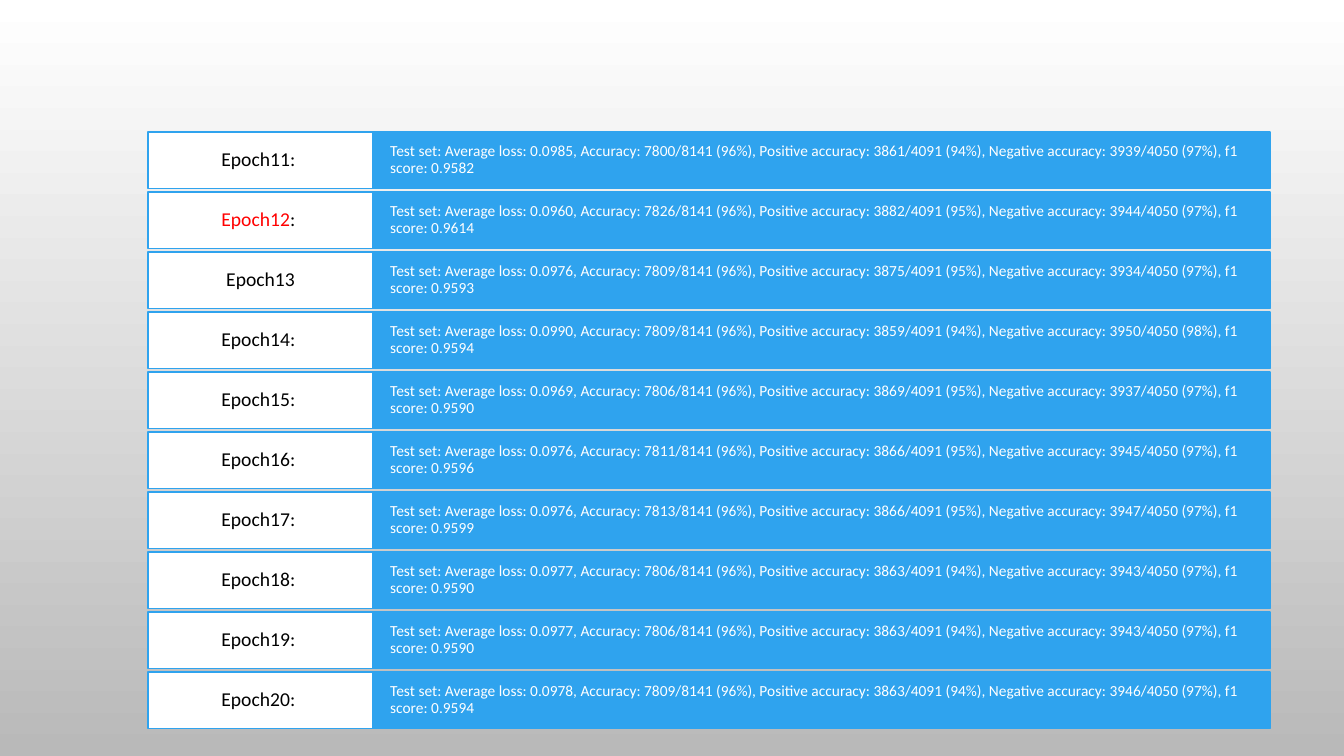
from dataclasses import dataclass

from pptx import Presentation
from pptx import util as u
from pptx.dml.color import RGBColor
from pptx.enum import shapes, text


@dataclass(frozen=True)
class Theme:
    font: str = "Calibri"
    blue: RGBColor = RGBColor(0x2F, 0xA3, 0xEE)
    white: RGBColor = RGBColor(0xFF, 0xFF, 0xFF)
    black: RGBColor = RGBColor(0, 0, 0)
    red: RGBColor = RGBColor(0xFF, 0, 0)
    grey: RGBColor = RGBColor(0xB9, 0xB9, 0xB9)
    label_size: u.Pt = u.Pt(14)
    result_size: u.Pt = u.Pt(11)
    border: u.Pt = u.Pt(1.25)


THEME = Theme()

# Row geometry in inches
TOP, PITCH, HEIGHT = 1.31, 0.5953, 0.56
LABEL_LEFT, LABEL_WIDTH = 1.47, 2.23
RESULT_LEFT, RESULT_WIDTH = LABEL_LEFT + LABEL_WIDTH, 8.9

# Size of the test set
POSITIVES, NEGATIVES = 4091, 4050

BEST_EPOCH = "Epoch12"

# Label, average loss, correct positives, correct negatives, f1 score
EPOCHS = [
    ("Epoch11: ", "0.0985", 3861, 3939, "0.9582"),
    ("Epoch12: ", "0.0960", 3882, 3944, "0.9614"),
    ("Epoch13", "0.0976", 3875, 3934, "0.9593"),
    ("Epoch14: ", "0.0990", 3859, 3950, "0.9594"),
    ("Epoch15: ", "0.0969", 3869, 3937, "0.9590"),
    ("Epoch16: ", "0.0976", 3866, 3945, "0.9596"),
    ("Epoch17: ", "0.0976", 3866, 3947, "0.9599"),
    ("Epoch18: ", "0.0977", 3863, 3943, "0.9590"),
    ("Epoch19: ", "0.0977", 3863, 3943, "0.9590"),
    ("Epoch20: ", "0.0978", 3863, 3946, "0.9594"),
]


def share(correct, total):
    return f"{correct}/{total} ({correct / total:.0%})"


def result_text(loss, positive, negative, f1):
    return (
        f"Test set: Average loss: {loss}, "
        f"Accuracy: {share(positive + negative, POSITIVES + NEGATIVES)}, "
        f"Positive accuracy: {share(positive, POSITIVES)}, "
        f"Negative accuracy: {share(negative, NEGATIVES)}, f1 score: {f1}"
    )


def paint_background(slide):
    fill = slide.background.fill
    fill.gradient()
    fill.gradient_angle = 270
    for stop, color in zip(fill.gradient_stops, (THEME.white, THEME.grey)):
        stop.color.rgb = color


def add_cell(slide, left, top, width, fill, margins, align, size, pieces):
    """Draw one bordered box; pieces are (wording, colour) pairs."""
    cell = slide.shapes.add_shape(
        shapes.MSO_SHAPE.RECTANGLE,
        u.Inches(left), u.Inches(top), u.Inches(width), u.Inches(HEIGHT))
    cell.shadow.inherit = False
    cell.fill.solid()
    cell.fill.fore_color.rgb = fill
    cell.line.color.rgb = THEME.blue
    cell.line.width = THEME.border

    frame = cell.text_frame
    frame.word_wrap = True
    frame.vertical_anchor = text.MSO_ANCHOR.MIDDLE
    side, upright = margins
    frame.margin_left = frame.margin_right = u.Inches(side)
    frame.margin_top = frame.margin_bottom = u.Inches(upright)

    paragraph = frame.paragraphs[0]
    paragraph.alignment = align
    paragraph.line_spacing = 0.9
    for wording, color in pieces:
        run = paragraph.add_run()
        run.text = wording
        run.font.name = THEME.font
        run.font.size = size
        run.font.color.rgb = color


def add_result(slide, top, wording):
    add_cell(slide, RESULT_LEFT, top, RESULT_WIDTH, THEME.blue, (0.17, 0.14),
             text.PP_ALIGN.LEFT, THEME.result_size, [(wording, THEME.white)])


def add_label(slide, top, label):
    pieces = [(label, THEME.black)]
    if label.startswith(BEST_EPOCH):
        pieces = [(BEST_EPOCH, THEME.red),
                  (label.removeprefix(BEST_EPOCH), THEME.black)]
    add_cell(slide, LABEL_LEFT, top, LABEL_WIDTH, THEME.white, (0.12, 0.06),
             text.PP_ALIGN.CENTER, THEME.label_size, pieces)


def main():
    deck = Presentation()
    deck.slide_width, deck.slide_height = u.Inches(13.33), u.Inches(7.5)
    slide = deck.slides.add_slide(deck.slide_layouts.get_by_name("Blank"))
    paint_background(slide)

    # One row per epoch
    for row, (label, *scores) in enumerate(EPOCHS):
        top = TOP + row * PITCH
        add_result(slide, top, result_text(*scores))
        add_label(slide, top, label)

    deck.save("out.pptx")


if __name__ == "__main__":
    main()
